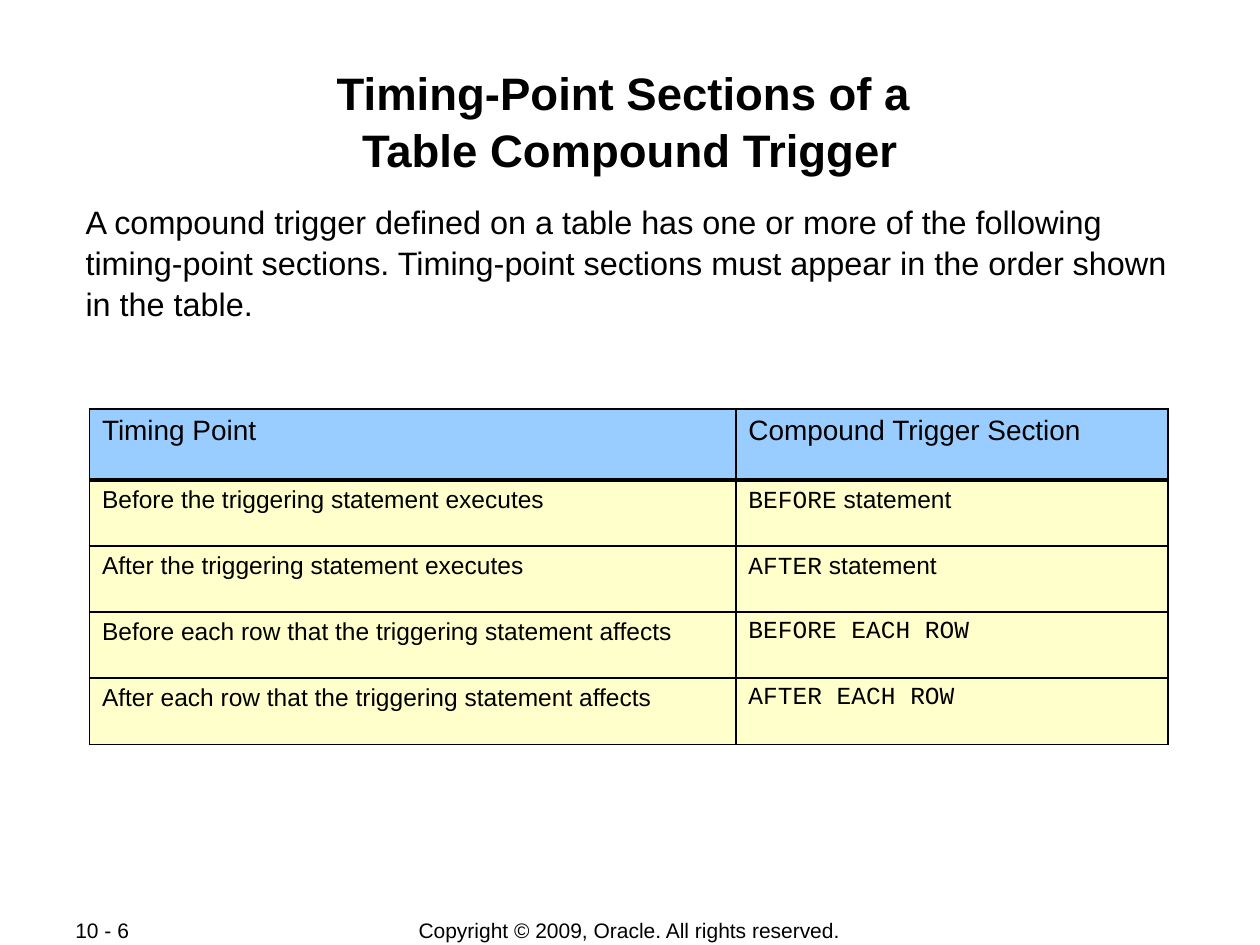
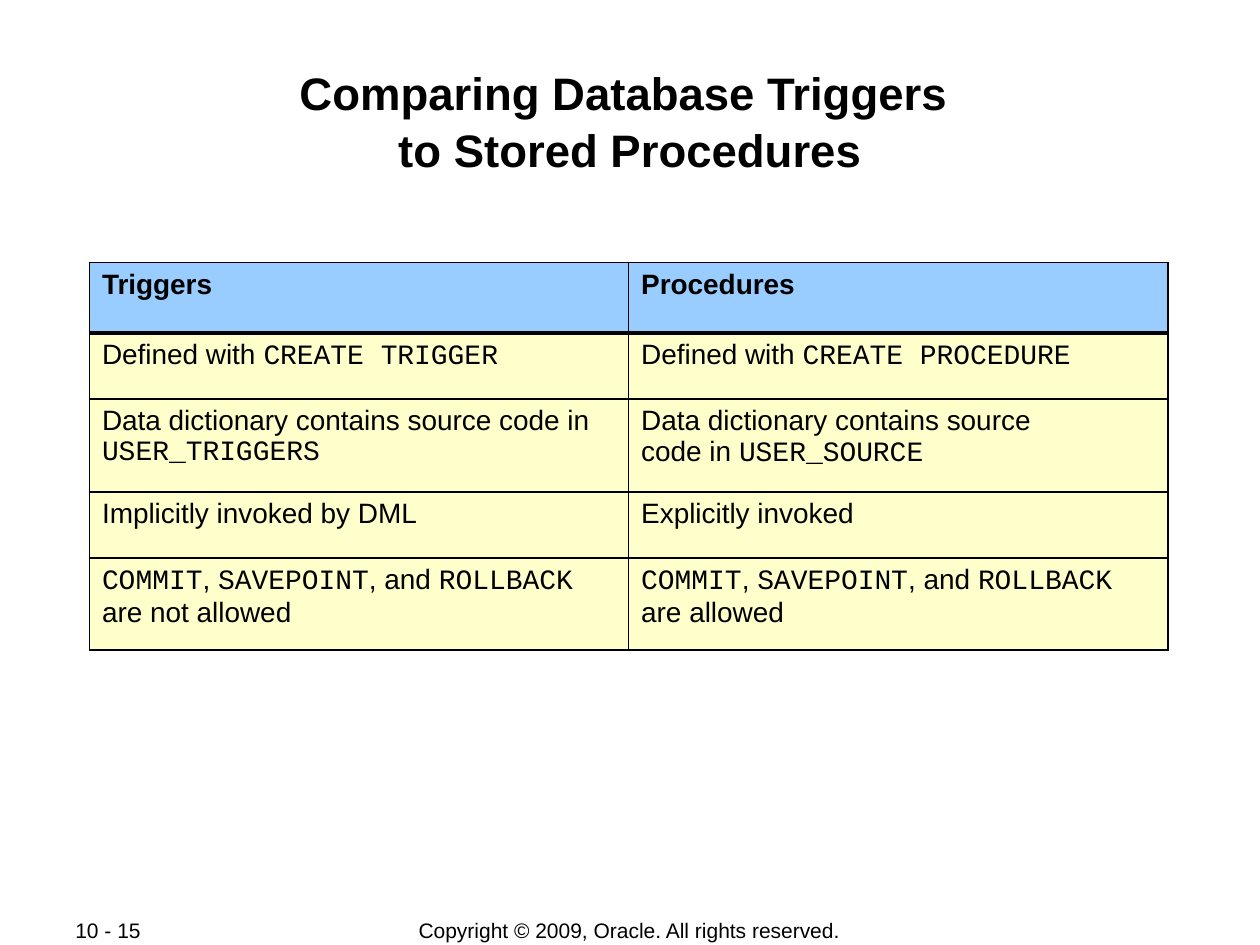
"""Build two slides that present database triggers in tables."""
from copy import deepcopy
from dataclasses import dataclass
from typing import Any

from lxml import etree
from pptx import Presentation
from pptx.dml.color import RGBColor
from pptx.enum.text import MSO_ANCHOR, MSO_AUTO_SIZE, PP_ALIGN
from pptx.oxml.ns import qn
from pptx.util import Pt

CENTER, LEFT = PP_ALIGN.CENTER, PP_ALIGN.LEFT
TOP, MIDDLE = MSO_ANCHOR.TOP, MSO_ANCHOR.MIDDLE
NO_AUTOFIT = MSO_AUTO_SIZE.NONE
TITLE_ONLY, TITLE_AND_BODY = 5, 1

BLACK, HEADER_BLUE, ROW_YELLOW = "000000", "99CCFF", "FFFFCC"
TEXT_FONT, CODE_FONT = "Arial", "Courier New"
THIN, THICK = 1.08, 2.21
COPYRIGHT = "Copyright © 2009, Oracle. All rights reserved."


@dataclass(frozen=True)
class Box:
    """Place and size in points."""
    left: float
    top: float
    width: float
    height: float


@dataclass(frozen=True)
class TextStyle:
    """Look of one paragraph."""
    size: float
    bold: bool = False
    align: Any = LEFT
    line_spacing: float = 1.0


@dataclass(frozen=True)
class TableContent:
    """Cells, grid and text styles of one table; backticks enclose code."""
    top: float
    column_widths: tuple[float, ...]
    row_heights: tuple[float, ...]
    header_style: TextStyle
    row_style: TextStyle
    rows: tuple[tuple[str, ...], ...]


@dataclass(frozen=True)
class SlideContent:
    """Everything that differs between slides."""
    title: str
    page: str
    table: TableContent
    body: str = ""


TITLE_BOX = Box(48.2, 34.6, 623.6, 69.1)
BODY_BOX = Box(48.2, 113.8, 623.6, 74.2)
COPYRIGHT_BOX = Box(198, 524, 323.3, 15)
PAGE_BOX = Box(36, 524, 76.3, 15)
TABLE_LEFT = 51.1

TITLE_STYLE = TextStyle(26, bold=True, align=CENTER, line_spacing=1.05)
BODY_STYLE = TextStyle(18.5, line_spacing=1.05)
FOOTER_STYLE = TextStyle(12)
COPYRIGHT_STYLE = TextStyle(12, align=CENTER)

SLIDES = (
    SlideContent(
        title="Timing-Point Sections of a \nTable Compound Trigger",
        page="10 - 6",
        body="A compound trigger defined on a table has one or more of the "
             "following timing-point sections. Timing-point sections must "
             "appear in the order shown in the table.",
        table=TableContent(
            top=233.8,
            column_widths=(369.4, 246.8),
            row_heights=(40.4, 37.8, 37.8, 37.8, 37.8),
            header_style=TextStyle(16),
            row_style=TextStyle(14),
            rows=(
                ("Timing Point", "Compound Trigger Section"),
                ("Before the triggering statement executes", "`BEFORE` statement"),
                ("After the triggering statement executes", "`AFTER` statement"),
                ("Before each row that the triggering statement affects",
                 "`BEFORE EACH ROW`"),
                ("After each row that the triggering statement affects",
                 "`AFTER EACH ROW`"),
            ),
        ),
    ),
    SlideContent(
        title="Comparing Database Triggers \nto Stored Procedures",
        page="10 - 15",
        table=TableContent(
            top=150,
            column_widths=(308.1, 308.1),
            row_heights=(40.4, 37.8, 52.8, 37.8, 52.8),
            header_style=TextStyle(16, bold=True),
            row_style=TextStyle(16),
            rows=(
                ("Triggers", "Procedures"),
                ("Defined with `CREATE TRIGGER`", "Defined with `CREATE PROCEDURE`"),
                ("Data dictionary contains source code in `USER_TRIGGERS`",
                 "Data dictionary contains source\ncode in `USER_SOURCE`"),
                ("Implicitly invoked by DML", "Explicitly invoked"),
                ("`COMMIT`, `SAVEPOINT`, and `ROLLBACK` are not allowed",
                 "`COMMIT`, `SAVEPOINT`, and `ROLLBACK` are allowed"),
            ),
        ),
    ),
)


def color(value: str) -> RGBColor:
    """Turn a hex string into a colour."""
    return RGBColor.from_string(value)


def apply_format(target: Any, values: dict[str, Any]) -> None:
    """Set each named attribute on the target."""
    for name, value in values.items():
        setattr(target, name, value)


def write_text(text_frame: Any, text: str, style: TextStyle) -> None:
    """Write one paragraph, with code parts and line breaks."""
    paragraph = text_frame.paragraphs[0]
    apply_format(paragraph, {"alignment": style.align, "space_before": Pt(0),
                             "line_spacing": style.line_spacing})
    for line_index, line in enumerate(text.split("\n")):
        if line_index:
            paragraph.add_line_break()
            paragraph._p[-1].append(deepcopy(run._r.rPr))
        for part_index, part in enumerate(line.split("`")):
            if not part:
                continue
            run = paragraph.add_run()
            run.text = part
            apply_format(run.font, {
                "name": CODE_FONT if part_index % 2 else TEXT_FONT,
                "size": Pt(style.size), "bold": style.bold})
            run.font.color.rgb = color(BLACK)


def fill_box(shape: Any, box: Box, text: str, style: TextStyle,
             anchor: Any = TOP, side: float = 0.72, edge: float = 0.72) -> None:
    """Place a text shape, set its margins and write its text."""
    apply_format(shape, {"left": Pt(box.left), "top": Pt(box.top),
                         "width": Pt(box.width), "height": Pt(box.height)})
    apply_format(shape.text_frame, {
        "word_wrap": True, "auto_size": NO_AUTOFIT, "vertical_anchor": anchor,
        "margin_left": Pt(side), "margin_right": Pt(side),
        "margin_top": Pt(edge), "margin_bottom": Pt(edge)})
    write_text(shape.text_frame, text, style)


def remove_bullet(shape: Any) -> None:
    """Clear the bullet and indent of the first paragraph."""
    properties = shape.text_frame.paragraphs[0]._p.get_or_add_pPr()
    for name in ("marL", "indent"):
        properties.set(name, "0")
    etree.SubElement(properties, qn("a:buNone"))


def add_border(cell: Any, side: str, width: float) -> None:
    """Draw one side of a cell's border."""
    line = etree.SubElement(cell._tc.get_or_add_tcPr(), qn(f"a:ln{side}"),
                            w=str(Pt(width)))
    fill = etree.SubElement(line, qn("a:solidFill"))
    etree.SubElement(fill, qn("a:srgbClr"), val=BLACK)


def add_table(slide: Any, content: TableContent) -> None:
    """Add a table with a blue header and yellow rows."""
    table = slide.shapes.add_table(
        len(content.row_heights), len(content.column_widths),
        Pt(TABLE_LEFT), Pt(content.top),
        Pt(sum(content.column_widths)), Pt(sum(content.row_heights))).table
    apply_format(table, {"first_row": False, "horz_banding": False})
    for column, width in zip(table.columns, content.column_widths):
        column.width = Pt(width)
    for row_index, texts in enumerate(content.rows):
        table.rows[row_index].height = Pt(content.row_heights[row_index])
        is_header = row_index == 0
        widths = {"L": THIN, "R": THIN,
                  "T": THICK if row_index == 1 else THIN,
                  "B": THICK if is_header else THIN}
        for column_index, text in enumerate(texts):
            cell = table.cell(row_index, column_index)
            for side, width in widths.items():
                add_border(cell, side, width)
            cell.fill.solid()
            cell.fill.fore_color.rgb = color(HEADER_BLUE if is_header else ROW_YELLOW)
            write_text(cell.text_frame, text,
                       content.header_style if is_header else content.row_style)


def add_footer(slide: Any, page: str) -> None:
    """Add the copyright line and the page number."""
    for box, text, style in ((COPYRIGHT_BOX, COPYRIGHT, COPYRIGHT_STYLE),
                             (PAGE_BOX, page, FOOTER_STYLE)):
        shape = slide.shapes.add_textbox(0, 0, 0, 0)
        fill_box(shape, box, text, style, MIDDLE, side=7.2, edge=0)


def add_slide(presentation: Any, content: SlideContent) -> None:
    """Add one slide with title, optional body, table and footer."""
    layout = TITLE_AND_BODY if content.body else TITLE_ONLY
    slide = presentation.slides.add_slide(presentation.slide_layouts[layout])
    fill_box(slide.shapes.title, TITLE_BOX, content.title, TITLE_STYLE)
    if content.body:
        body = slide.placeholders[1]
        fill_box(body, BODY_BOX, content.body, BODY_STYLE)
        remove_bullet(body)
    add_table(slide, content.table)
    add_footer(slide, content.page)


def main() -> None:
    """Build and save the presentation."""
    presentation = Presentation()
    apply_format(presentation, {"slide_width": Pt(720), "slide_height": Pt(540)})
    for content in SLIDES:
        add_slide(presentation, content)
    presentation.save("out.pptx")


if __name__ == "__main__":
    main()
